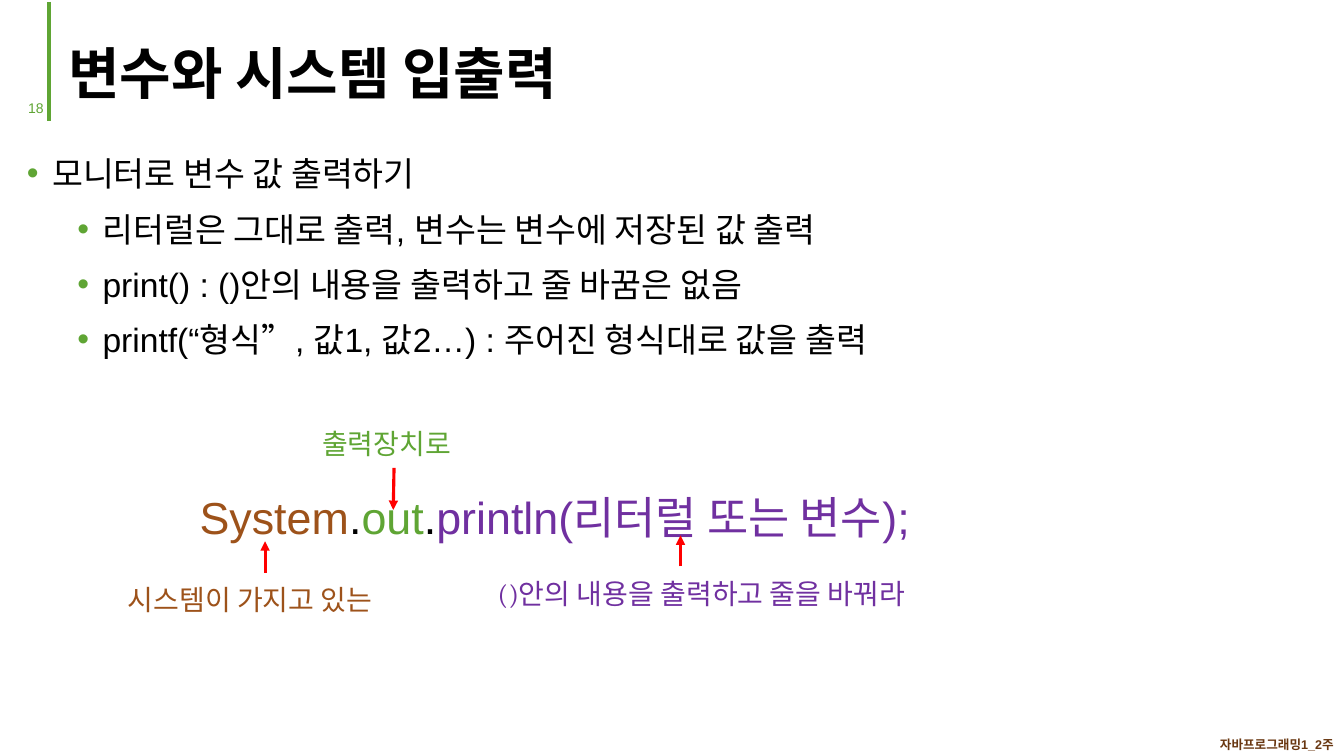
from dataclasses import dataclass
from typing import Optional

from lxml import etree
from pptx import Presentation
from pptx import util as u
from pptx.dml import color
from pptx.enum import shapes, text
from pptx.oxml import ns


@dataclass(frozen=True)
class Theme:
    sans: str = "Arial"
    serif: str = "Cambria"
    green: str = "5FA534"
    brown: str = "9D521A"
    dark_brown: str = "693711"
    purple: str = "7030A0"
    red: str = "FF0000"
    black: str = "000000"
    title: int = 40
    code: int = 32
    body: int = 24
    note: int = 20
    number: int = 10
    footer: int = 9


THEME = Theme()


@dataclass(frozen=True)
class Box:
    left: float
    top: float
    width: float
    height: float


@dataclass(frozen=True)
class Span:
    wording: str
    color: str


@dataclass(frozen=True)
class Bullet:
    wording: str
    level: int = 1


@dataclass(frozen=True)
class Note:
    wording: str
    box: Box
    color: str
    font: str = THEME.sans


@dataclass(frozen=True)
class Stroke:
    start: tuple[float, float]
    end: tuple[float, float]
    color: str = THEME.red
    weight: float = 2.25
    arrow: bool = True


BULLETS = [
    Bullet("모니터로 변수 값 출력하기", level=0),
    Bullet("리터럴은 그대로 출력, 변수는 변수에 저장된 값 출력"),
    Bullet("print() : ()안의 내용을 출력하고 줄 바꿈은 없음"),
    Bullet("printf(“형식”, 값1, 값2…) : 주어진 형식대로 값을 출력"),
]
STATEMENT = [
    Span("System", THEME.brown),
    Span(".", THEME.black),
    Span("out", THEME.green),
    Span(".", THEME.black),
    Span("println(리터럴 또는 변수);", THEME.purple),
]
NOTES = [
    Note("출력장치로", Box(7.87, 10.62, 4.06, 1.12), THEME.green),
    Note("시스템이 가지고 있는", Box(2.97, 14.55, 7.42, 1.12), THEME.brown),
    Note("()안의 내용을 출력하고 줄을 바꿔라", Box(12.29, 14.4, 11.68, 1.12),
         THEME.purple, THEME.serif),
]
STROKES = [
    Stroke((1.24, 0.05), (1.24, 3.05), THEME.green, 3, arrow=False),
    Stroke((6.68, 14.43), (6.68, 13.64)),
    Stroke((17.15, 14.27), (17.15, 13.49)),
    Stroke((9.93, 11.79), (9.91, 12.85)),
]


def add_frame(slide, box: Box, *, wrap: bool = True, anchor=text.MSO_ANCHOR.TOP):
    sides = (box.left, box.top, box.width, box.height)
    frame = slide.shapes.add_textbox(*map(u.Cm, sides)).text_frame
    frame.word_wrap = wrap
    if not wrap:
        frame.auto_size = text.MSO_AUTO_SIZE.SHAPE_TO_FIT_TEXT
    frame.vertical_anchor = anchor
    return frame


def write(paragraph, wording: str, *, size: int, color_hex: str = THEME.black,
          font: str = THEME.sans, bold: bool = False, align=None,
          spacing: Optional[float] = None) -> None:
    run = paragraph.add_run()
    run.text = wording
    run.font.size = u.Pt(size)
    run.font.name = font
    run.font.bold = bold
    run.font.color.rgb = color.RGBColor.from_string(color_hex)
    if align is not None:
        paragraph.alignment = align
    if spacing is not None:
        paragraph.line_spacing = spacing


def add_bullet(paragraph, bullet: Bullet) -> None:
    write(paragraph, bullet.wording, size=THEME.body, spacing=1.2)
    paragraph.level = bullet.level
    paragraph.space_before = u.Pt(5 if bullet.level else 10)
    properties = paragraph._p.get_or_add_pPr()
    properties.set("marL", str(u.Cm(0.635 + 1.27 * bullet.level)))
    properties.set("indent", str(-u.Cm(0.635)))
    tint = etree.SubElement(properties, ns.qn("a:buClr"))
    etree.SubElement(tint, ns.qn("a:srgbClr"), val=THEME.green)
    etree.SubElement(properties, ns.qn("a:buFont"), typeface=THEME.sans)
    etree.SubElement(properties, ns.qn("a:buChar"), char="•")


def add_stroke(slide, stroke: Stroke) -> None:
    ends = map(u.Cm, (*stroke.start, *stroke.end))
    connector = slide.shapes.add_connector(shapes.MSO_CONNECTOR.STRAIGHT, *ends)
    connector.line.color.rgb = color.RGBColor.from_string(stroke.color)
    connector.line.width = u.Pt(stroke.weight)
    if stroke.arrow:
        outline = connector.line._get_or_add_ln()
        etree.SubElement(outline, ns.qn("a:tailEnd"), type="triangle")
    etree.SubElement(connector._element.spPr, ns.qn("a:effectLst"))


def build() -> None:
    deck = Presentation()
    deck.slide_width, deck.slide_height = u.Cm(33.87), u.Cm(19.05)
    slide = deck.slides.add_slide(deck.slide_layouts[6])

    title = add_frame(slide, Box(1.47, 0.28, 26.44, 2.54), anchor=text.MSO_ANCHOR.BOTTOM)
    write(title.paragraphs[0], "변수와 시스템 입출력", size=THEME.title,
          font=THEME.serif, bold=True, spacing=0.9)

    body = add_frame(slide, Box(0.43, 3.53, 33.17, 14.53))
    for index, bullet in enumerate(BULLETS):
        add_bullet(body.add_paragraph() if index else body.paragraphs[0], bullet)

    footer = add_frame(slide, Box(20.35, 18.47, 13.51, 0.58), anchor=text.MSO_ANCHOR.MIDDLE)
    write(footer.paragraphs[0], "자바프로그래밍1_2주", size=THEME.footer,
          color_hex=THEME.dark_brown, bold=True, align=text.PP_ALIGN.RIGHT)

    number = add_frame(slide, Box(0.33, 2.39, 1.02, 0.79))
    write(number.paragraphs[0], "18", size=THEME.number,
          color_hex=THEME.green, align=text.PP_ALIGN.RIGHT)

    statement = add_frame(slide, Box(4.78, 12.22, 19.48, 1.63), wrap=False)
    for span in STATEMENT:
        write(statement.paragraphs[0], span.wording, size=THEME.code, color_hex=span.color)

    for note in NOTES:
        frame = add_frame(slide, note.box, wrap=False)
        write(frame.paragraphs[0], note.wording, size=THEME.note,
              color_hex=note.color, font=note.font)

    for stroke in STROKES:
        add_stroke(slide, stroke)

    deck.save("out.pptx")


build()
